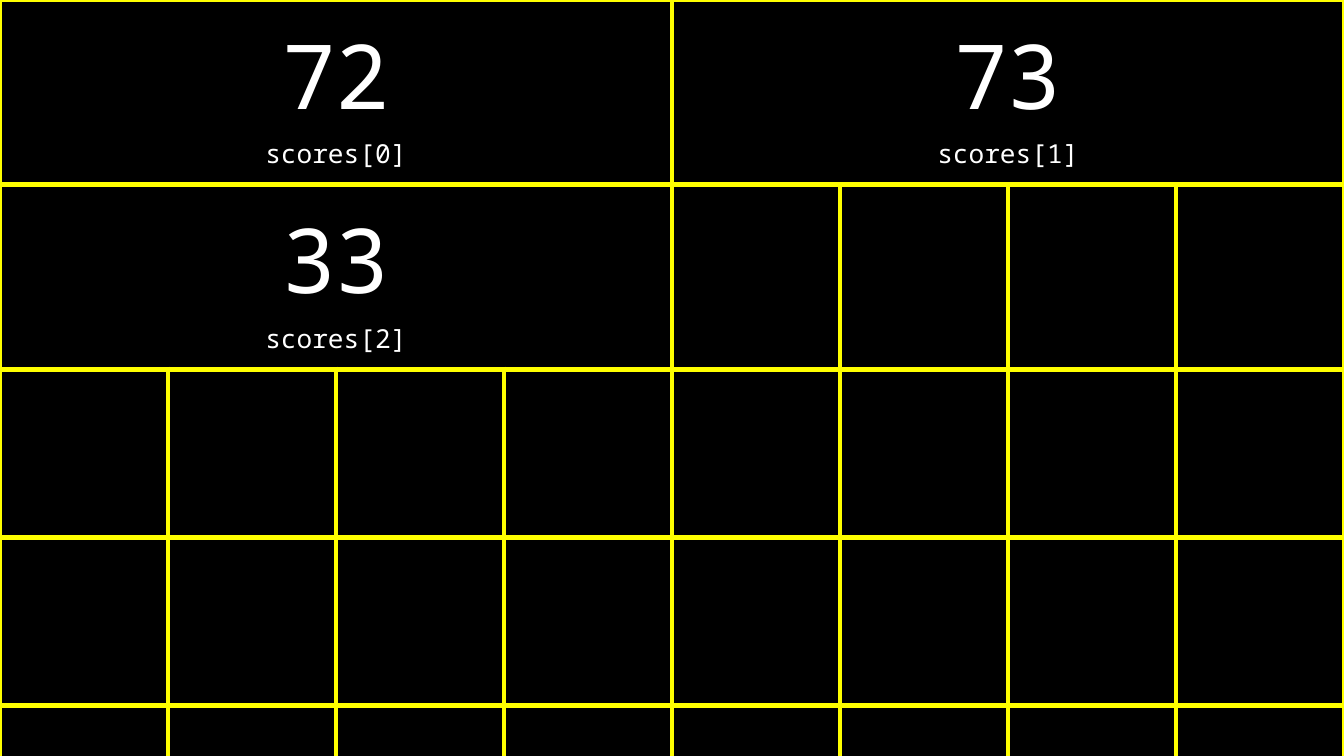
from dataclasses import dataclass

from pptx import Presentation
from pptx import util as u
from pptx.dml.color import RGBColor
from pptx.enum import text
from pptx.oxml import ns, xmlchemy
from pptx.table import Table, _Cell


@dataclass(frozen=True)
class Theme:
    background: str = "000000"
    grid: str = "FFFF00"
    ink: str = "FFFFFF"
    font: str = "Noto Sans Mono"
    value_size: int = 48
    label_size: int = 14
    grid_width: int = 3


@dataclass(frozen=True)
class Score:
    index: int
    value: int


THEME = Theme()
SLIDE_WIDTH = 10
SLIDE_HEIGHT = SLIDE_WIDTH * 9 / 16
BYTE_SIDE = 1.25
BYTES_PER_ROW = 8
MEMORY_ROWS = 5
BYTES_PER_INT = 4
SCORES = [Score(index, value) for index, value in enumerate((72, 73, 33))]


def write(paragraph, content: str, *, size: int, color: str = THEME.ink) -> None:
    paragraph.alignment = text.PP_ALIGN.CENTER
    run = paragraph.add_run()
    run.text = content
    run.font.name = THEME.font
    run.font.size = u.Pt(size)
    run.font.color.rgb = RGBColor.from_string(color)


def outline(cell: _Cell) -> None:
    properties = cell._tc.get_or_add_tcPr()
    for side in ("lnL", "lnR", "lnT", "lnB"):
        border = xmlchemy.OxmlElement(f"a:{side}")
        border.set("w", str(u.Pt(THEME.grid_width)))
        fill = border.makeelement(ns.qn("a:solidFill"))
        color = fill.makeelement(ns.qn("a:srgbClr"), {"val": THEME.grid})
        fill.append(color)
        border.append(fill)
        properties.append(border)


def style_byte(cell: _Cell) -> None:
    outline(cell)
    cell.fill.background()
    cell.vertical_anchor = text.MSO_ANCHOR.MIDDLE
    cell.margin_left = cell.margin_right = u.Inches(0.1)
    cell.margin_top = cell.margin_bottom = u.Inches(0.1)


def store_score(memory: Table, score: Score) -> None:
    row, column = divmod(score.index * BYTES_PER_INT, BYTES_PER_ROW)
    cell = memory.cell(row, column)
    cell.merge(memory.cell(row, column + BYTES_PER_INT - 1))
    frame = cell.text_frame
    write(frame.paragraphs[0], str(score.value), size=THEME.value_size)
    write(frame.add_paragraph(), f"scores[{score.index}]", size=THEME.label_size)


def add_memory(slide) -> Table:
    memory = slide.shapes.add_table(
        MEMORY_ROWS, BYTES_PER_ROW, u.Inches(0), u.Inches(0),
        u.Inches(BYTES_PER_ROW * BYTE_SIDE), u.Inches(MEMORY_ROWS * BYTE_SIDE),
    ).table
    memory.first_row = memory.horz_banding = False
    for cell in memory.iter_cells():
        style_byte(cell)
    return memory


def main() -> None:
    deck = Presentation()
    deck.slide_width = u.Inches(SLIDE_WIDTH)
    deck.slide_height = u.Inches(SLIDE_HEIGHT)
    slide = deck.slides.add_slide(deck.slide_layouts[6])
    backdrop = slide.background.fill
    backdrop.solid()
    backdrop.fore_color.rgb = RGBColor.from_string(THEME.background)
    memory = add_memory(slide)
    for score in SCORES:
        store_score(memory, score)
    deck.save("out.pptx")


if __name__ == "__main__":
    main()
